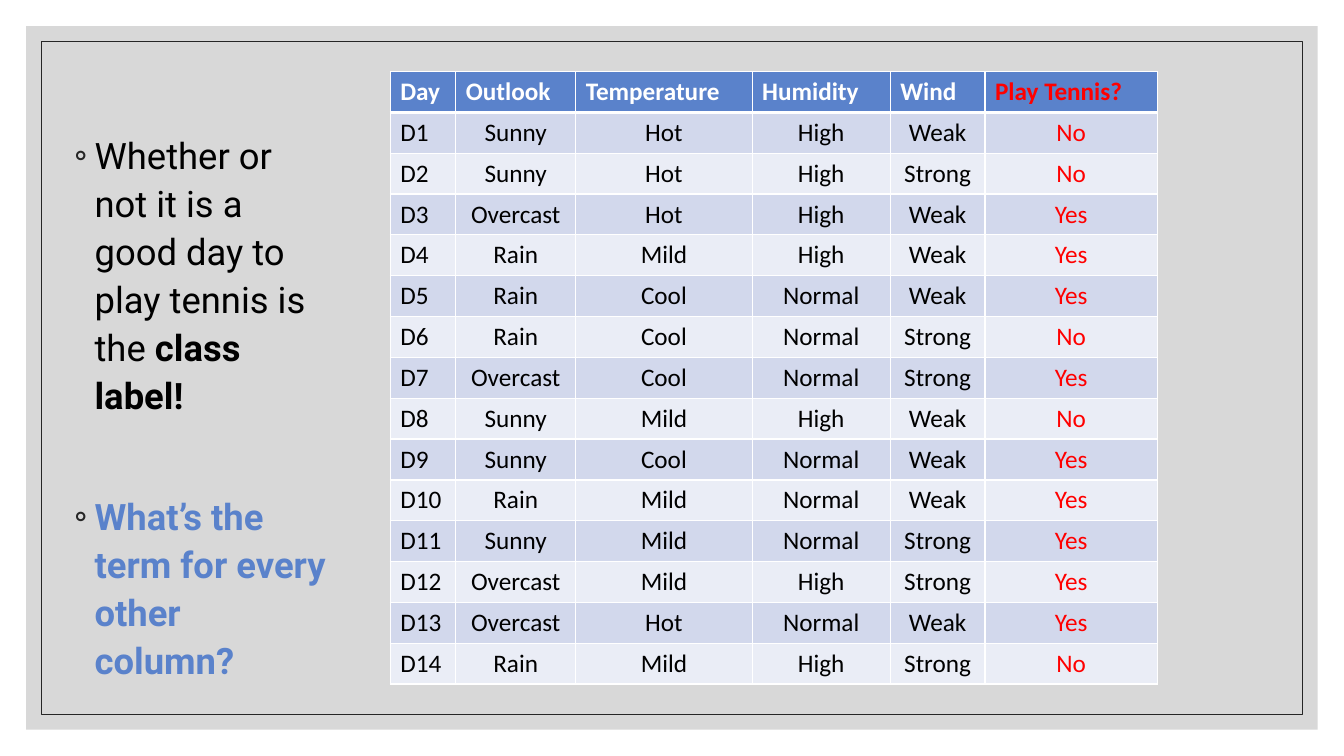
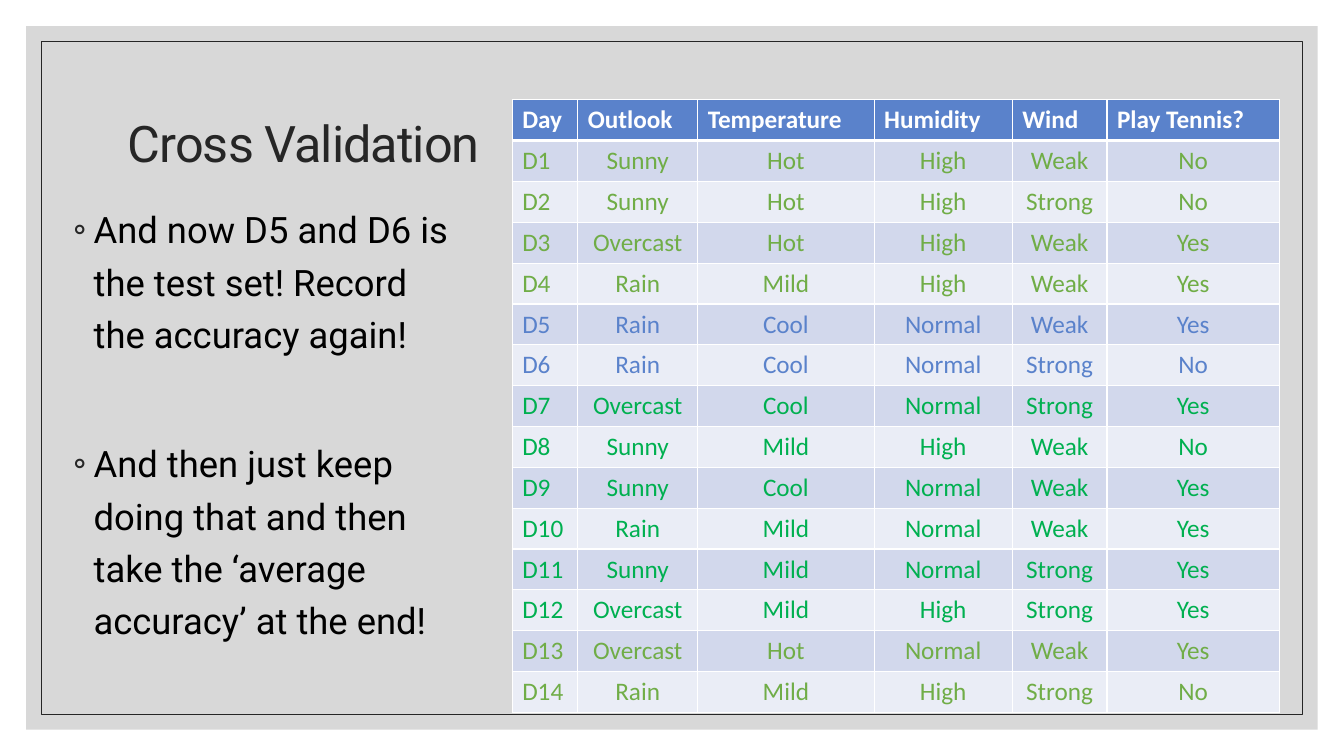
from lxml.etree import SubElement
from pptx import Presentation
from pptx.dml.color import RGBColor
from pptx.enum.shapes import MSO_SHAPE as Preset
from pptx.enum.text import MSO_ANCHOR as Anchor, PP_ALIGN as Align
from pptx.oxml.ns import qn
from pptx.util import Inches, Pt

WHITE, BLACK, RED = "FFFFFF", "000000", "FF0000"
INK, PANEL, BLUE = "262626", "BFBFBF", "5A82CB"
OLIVE, GREEN = "70AD47", "00B050"
BANDS = ("D2D8EC", "EAEDF6")
BODY_FONT, TABLE_FONT = "Roboto", "Calibri"

COLUMN_WIDTHS = (0.65, 1.19, 1.75, 1.37, 0.94, 1.71)
TABLE_HEIGHT = 6.08
HEADER = ("Day", "Outlook", "Temperature", "Humidity", "Wind", "Play Tennis?")
DAYS = [line.split() for line in """
D1 Sunny Hot High Weak No
D2 Sunny Hot High Strong No
D3 Overcast Hot High Weak Yes
D4 Rain Mild High Weak Yes
D5 Rain Cool Normal Weak Yes
D6 Rain Cool Normal Strong No
D7 Overcast Cool Normal Strong Yes
D8 Sunny Mild High Weak No
D9 Sunny Cool Normal Weak Yes
D10 Rain Mild Normal Weak Yes
D11 Sunny Mild Normal Strong Yes
D12 Overcast Mild High Strong Yes
D13 Overcast Hot Normal Weak Yes
D14 Rain Mild High Strong No
""".strip().splitlines()]


def rgb(value):
    """Turn a hex string into a colour."""
    return RGBColor.from_string(value)


def add_span(para, text, size, color, bold=False, font=BODY_FONT):
    """Add one formatted run to a paragraph."""
    span = para.add_run()
    span.text = text
    span.font.size = Pt(size)
    span.font.name = font
    span.font.bold = bold
    span.font.color.rgb = rgb(color)
    return span


def add_frame(slide, inset, fill=None, line=None):
    """Add a rectangle set in evenly from the slide edges."""
    box = slide.shapes.add_shape(
        Preset.RECTANGLE, Inches(inset), Inches(inset),
        Inches(13.33 - 2 * inset), Inches(7.5 - 2 * inset))
    box.shadow.inherit = False
    if fill:
        box.fill.solid()
        box.fill.fore_color.rgb = rgb(fill)
        tint = box.fill._xPr.find(qn("a:solidFill"))[0]
        SubElement(tint, qn("a:alpha"), val="60000")
    else:
        box.fill.background()
    if line:
        box.line.color.rgb = rgb(line)
        box.line.width = Pt(0.5)
    else:
        box.line.fill.background()


def add_page(deck):
    """Add a blank slide with the shared panel and outline."""
    page = deck.slides.add_slide(deck.slide_layouts[6])
    add_frame(page, 0.26, fill=PANEL)
    add_frame(page, 0.41, line=INK)
    return page


def add_text_box(slide, left, top, width, height):
    """Add a wrapping text box and return its text frame."""
    box = slide.shapes.add_textbox(
        Inches(left), Inches(top), Inches(width), Inches(height))
    box.text_frame.word_wrap = True
    return box.text_frame


def add_title(slide, text):
    """Add the slide title."""
    frame = add_text_box(slide, 1.17, 0.7, 11, 1.5)
    frame.vertical_anchor = Anchor.MIDDLE
    para = frame.paragraphs[0]
    para.line_spacing = 0.9
    span = add_span(para, text, 36, INK)
    span.font._element.set("spc", "-70")


def add_bullets(slide, place, items, spacing, gap):
    """Add bulleted paragraphs, each a list of (text, colour, bold)."""
    frame = add_text_box(slide, *place)
    for index, spans in enumerate(items):
        para = frame.add_paragraph() if index else frame.paragraphs[0]
        para.line_spacing = spacing
        para.space_before = Pt(gap if index else 0)
        props = para._p.get_or_add_pPr()
        props.set("marL", str(Inches(0.2)))
        props.set("indent", str(Inches(-0.2)))
        tint = SubElement(props, qn("a:buClr"))
        SubElement(tint, qn("a:srgbClr"), val=INK)
        SubElement(props, qn("a:buFont"), typeface=TABLE_FONT)
        SubElement(props, qn("a:buChar"), char="◦")
        for text, color, bold in spans:
            add_span(para, text, 26, color, bold)


def add_borders(cell, top, bottom):
    """Draw white borders around a cell, widths in points."""
    props = cell._tc.get_or_add_tcPr()
    for side, width in (("L", 1), ("R", 1), ("T", top), ("B", bottom)):
        line = SubElement(props, qn(f"a:ln{side}"), w=str(Pt(width)))
        fill = SubElement(line, qn("a:solidFill"))
        SubElement(fill, qn("a:srgbClr"), val=WHITE)


def add_days_table(slide, left, top, color_of):
    """Add the weather table, coloured by color_of(row, column)."""
    rows = [HEADER] + DAYS
    table = slide.shapes.add_table(
        len(rows), len(HEADER), Inches(left), Inches(top),
        Inches(sum(COLUMN_WIDTHS)), Inches(TABLE_HEIGHT)).table
    table.horz_banding = False
    for column, width in zip(table.columns, COLUMN_WIDTHS):
        column.width = Inches(width)
    for r, values in enumerate(rows):
        table.rows[r].height = Inches(TABLE_HEIGHT / len(rows))
        for c, value in enumerate(values):
            cell = table.cell(r, c)
            add_borders(cell, 3 if r == 1 else 1, 3 if r == 0 else 1)
            cell.fill.solid()
            cell.fill.fore_color.rgb = rgb(BANDS[(r - 1) % 2] if r else BLUE)
            para = cell.text_frame.paragraphs[0]
            para.alignment = Align.CENTER if r and c else Align.LEFT
            add_span(para, value, 18, color_of(r, c), r == 0, TABLE_FONT)


def label_color(row, column):
    """Mark the class label column in red."""
    if column == len(HEADER) - 1:
        return RED
    return BLACK if row else WHITE


def fold_color(row, column):
    """Mark the test days in blue and the training days in greens."""
    if row == 0:
        return WHITE
    if row in (5, 6):
        return BLUE
    return GREEN if 7 <= row <= 12 else OLIVE


def build_class_label(deck):
    """Build the slide on the class label."""
    page = add_page(deck)
    add_bullets(page, (0.64, 1.23, 2.7, 5.8), [
        [("Whether or not it is a good day to play tennis is the ", BLACK, False),
         ("class label!", BLACK, True)],
        [("What’s the term for every other column?", BLUE, True)],
    ], spacing=1.1, gap=52)
    add_days_table(page, 3.87, 0.71, label_color)


def build_cross_validation(deck):
    """Build the slide on cross validation."""
    page = add_page(deck)
    add_title(page, "Cross Validation")
    add_bullets(page, (0.63, 1.92, 3.92, 5.31), [
        [("And now D5 and D6 is the test set! Record the accuracy again!",
          BLACK, False)],
        [("And then just keep doing that and then take the ‘average accuracy’ "
          "at the end!", BLACK, False)],
    ], spacing=1.2, gap=55)
    add_days_table(page, 5.08, 0.99, fold_color)


def main():
    """Build and save the deck."""
    deck = Presentation()
    deck.slide_width, deck.slide_height = Inches(13.33), Inches(7.5)
    build_class_label(deck)
    build_cross_validation(deck)
    deck.save("out.pptx")


if __name__ == "__main__":
    main()
